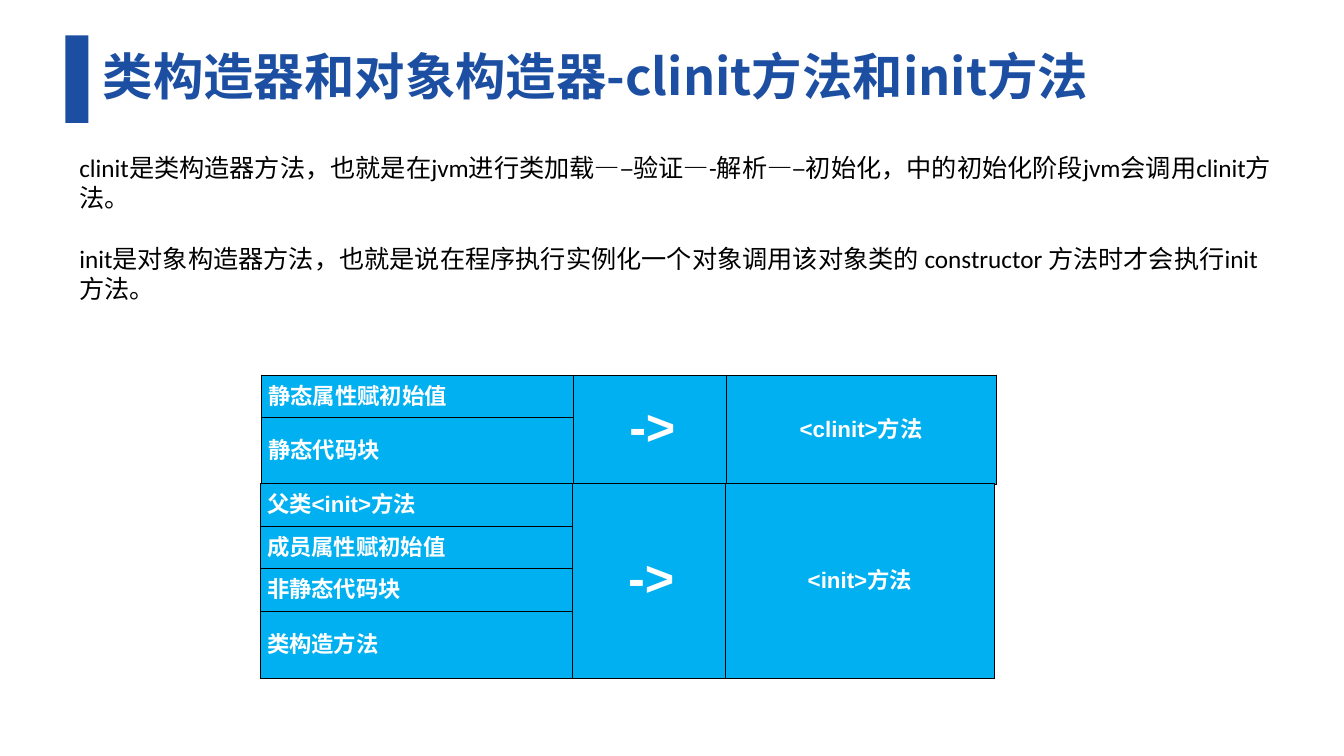
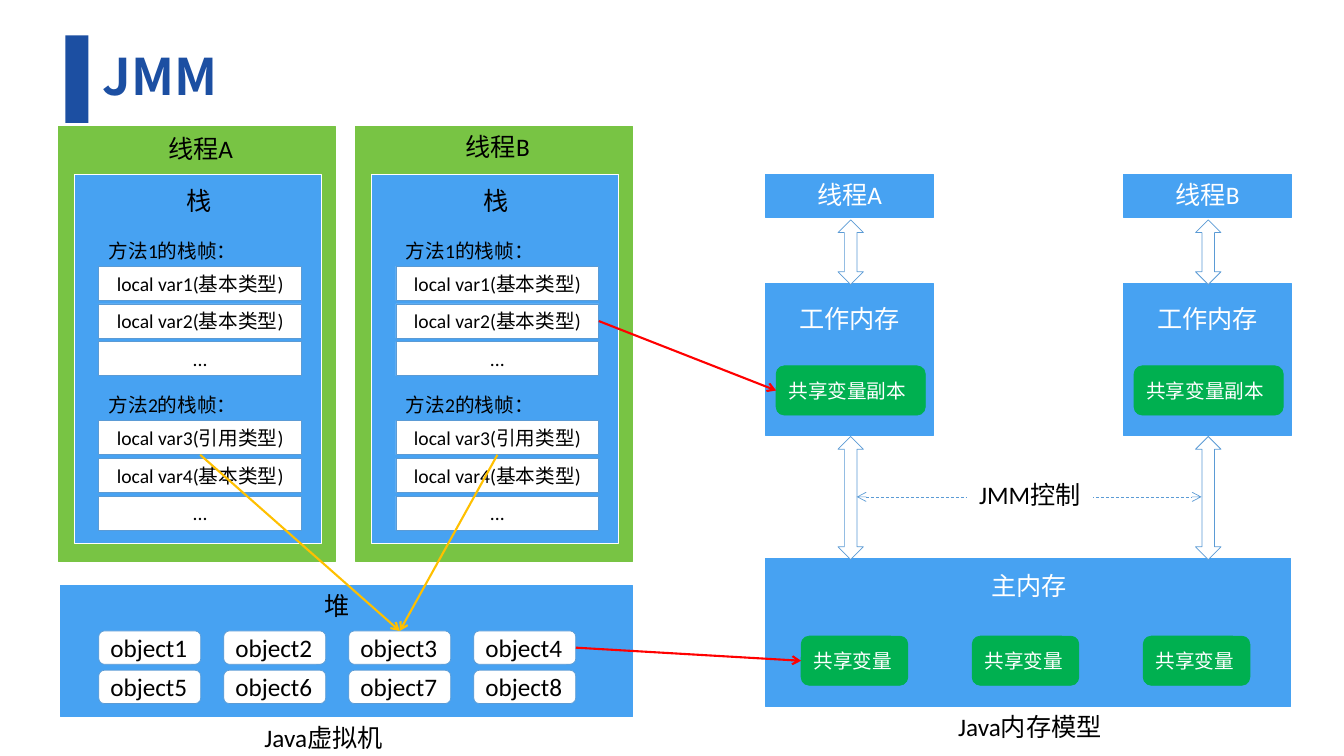
from dataclasses import dataclass
from itertools import product
from typing import Any, Optional

from lxml import etree
from pptx import Presentation
from pptx import util as u
from pptx.dml.color import RGBColor
from pptx.enum import dml, lang, shapes, text
from pptx.oxml import ns

HUES = {
    "navy": "1C4FA2", "black": "000000", "white": "FFFFFF", "cyan": "00B0F0",
    "lime": "78C444", "blue": "47A2F2", "edge": "5B9BD5", "green": "00B050",
    "gold": "FFC000", "red": "FF0000",
}
RECT = shapes.MSO_SHAPE.RECTANGLE
ROUND = shapes.MSO_SHAPE.ROUNDED_RECTANGLE
ARROW = shapes.MSO_SHAPE.UP_DOWN_ARROW
LEFT, MID = text.PP_ALIGN.LEFT, text.PP_ALIGN.CENTER
TOP, HALF = text.MSO_ANCHOR.TOP, text.MSO_ANCHOR.MIDDLE
SANS = "Noto Sans CJK SC"


@dataclass
class Box:
    x: float
    y: float
    w: float
    h: float
    words: str = ""
    fill: Optional[str] = None
    line: Optional[str] = None
    kind: Any = RECT
    ink: str = "black"
    size: float = 18
    align: Any = MID
    anchor: Any = TOP
    face: str = "Calibri"
    bold: bool = False
    gap: float = 0
    lead: float = 1.0


@dataclass
class Grid:
    x: float
    y: float
    steps: list[str]
    goal: str


def tint(name: str) -> RGBColor:
    return RGBColor.from_string(HUES[name])


def apply(item: Any, form: dict[str, Any]) -> None:
    for name, value in form.items():
        setattr(item, name, value)


def style(para: Any, size: float, ink: str, face: str, bold: bool, align: Any) -> None:
    para.alignment = align
    for run in para.runs:
        apply(run.font, {"size": u.Pt(size), "name": face, "bold": bold,
                         "language_id": lang.MSO_LANGUAGE_ID.SIMPLIFIED_CHINESE})
        run.font.color.rgb = tint(ink)
        if face == SANS:
            node = etree.SubElement(run.font._element, ns.qn("a:ea"))
            node.set("typeface", SANS)


def draw(slide: Any, box: Box) -> Any:
    place = [u.Cm(v) for v in (box.x, box.y, box.w, box.h)]
    if box.fill:
        shape = slide.shapes.add_shape(box.kind, *place)
        shape.shadow.inherit = False
        shape.fill.solid()
        shape.fill.fore_color.rgb = tint(box.fill)
        if box.line:
            shape.line.color.rgb = tint(box.line)
            shape.line.width = u.Pt(0.5)
        else:
            shape.line.fill.background()
    else:
        shape = slide.shapes.add_textbox(*place)
    if box.words:
        frame = shape.text_frame
        frame.text = box.words
        apply(frame, {"word_wrap": True, "vertical_anchor": box.anchor})
        for i, para in enumerate(frame.paragraphs):
            style(para, box.size, box.ink, box.face, box.bold, box.align)
            para.line_spacing = box.lead
            if i:
                para.space_before = u.Pt(box.gap)
    return shape


def link(slide: Any, ink: str, width: float, ends: tuple[float, ...] = (0, 0, 0, 0),
         start: Any = None, stop: Any = None, both: bool = False) -> None:
    line = slide.shapes.add_connector(shapes.MSO_CONNECTOR.STRAIGHT,
                                      *[u.Cm(v) for v in ends])
    if start:
        line.begin_connect(*start)
    if stop:
        line.end_connect(*stop)
    line.line.color.rgb = tint(ink)
    line.line.width = u.Pt(width)
    if both:
        line.line.dash_style = dml.MSO_LINE.DASH
    props = line._element.spPr
    stroke = props.find(ns.qn("a:ln"))
    for tag in (["a:headEnd"] if both else []) + ["a:tailEnd"]:
        etree.SubElement(stroke, ns.qn(tag)).set("type", "arrow")
    etree.SubElement(props, ns.qn("a:effectLst"))


def start_page(deck: Any, title: str) -> Any:
    slide = deck.slides.add_slide(deck.slide_layouts[6])
    draw(slide, Box(1.65, 0.89, 0.58, 2.21, fill="navy"))
    draw(slide, Box(2.34, 0.64, 29.21, 2.72, title, ink="navy", size=36, align=LEFT,
                    anchor=HALF, face=SANS, bold=True, lead=0.9))
    return slide


def rule(cell: Any) -> None:
    props = cell._tc.get_or_add_tcPr()
    for i, side in enumerate(("a:lnL", "a:lnR", "a:lnT", "a:lnB")):
        edge = etree.Element(ns.qn(side), w=str(u.Pt(0.5)))
        fill = etree.SubElement(edge, ns.qn("a:solidFill"))
        etree.SubElement(fill, ns.qn("a:srgbClr")).set("val", HUES["black"])
        props.insert(i, edge)


def draw_grid(slide: Any, grid: Grid) -> None:
    count = len(grid.steps)
    wides, talls = [7.88, 3.84, 6.8], [1.07] * (count - 1) + [1.69]
    table = slide.shapes.add_table(
        count, 3, u.Cm(grid.x), u.Cm(grid.y), u.Cm(sum(wides)), u.Cm(sum(talls))).table
    apply(table, {"first_row": False, "horz_banding": False})
    for col, wide in zip(table.columns, wides):
        col.width = u.Cm(wide)
    for row, tall in zip(table.rows, talls):
        row.height = u.Cm(tall)
    for c in (1, 2):
        table.cell(0, c).merge(table.cell(count - 1, c))
    for r, c in product(range(count), range(3)):
        cell = table.cell(r, c)
        cell.fill.solid()
        cell.fill.fore_color.rgb = tint("cyan")
        rule(cell)
        apply(cell, {"vertical_anchor": HALF, "margin_left": u.Cm((0.18, 0.15, 0.03)[c]),
                     "margin_right": u.Cm(0.03), "margin_top": u.Cm(0.03),
                     "margin_bottom": u.Cm(0.13)})
        if cell.is_spanned:
            continue
        cell.text = (grid.steps[r], "->", grid.goal)[c]
        style(cell.text_frame.paragraphs[0], 36 if c == 1 else 16, "white", "Arial",
              True, MID if c else LEFT)


def draw_stack(slide: Any, i: int) -> dict[str, Any]:
    x = 7.49 * i
    draw(slide, Box(x + 1.47, 3.18, 6.98, 10.97, fill="lime", line="lime"))
    draw(slide, Box(x + 1.88, 4.39, 6.22, 9.3, fill="blue", line="white"))
    draw(slide, Box(x + 3.18, 4.55, 3.66, 1.02, "栈"))
    draw(slide, Box(x + 3.38, 3.23 - 0.05 * i, 3.35, 1.02, f"线程{'AB'[i]}"))
    slots = {}
    frames = [["local var1(基本类型)", "local var2(基本类型)", "..."],
              ["local var3(引用类型)", "local var4(基本类型)", "..."]]
    for f, names in enumerate(frames):
        y = 5.89 + 3.89 * f
        for j, name in enumerate(names):
            slots[name] = draw(slide, Box(
                x + 2.49, y + 0.82 + 0.95 * j, 5.11, 0.86, name, "white", "edge",
                size=14, anchor=HALF))
        draw(slide, Box(x + 2.49, y, 4.85, 0.86, f"方法{f + 1}的栈帧：",
                        size=14, align=LEFT))
    return slots


def draw_heap(slide: Any) -> list[Any]:
    draw(slide, Box(1.52, 14.76, 14.43, 3.3, fill="blue", line="blue"))
    items = [draw(slide, Box(2.49 + 3.15 * c, 15.9 + 0.99 * r, 2.57, 0.84,
                             f"object{4 * r + c + 1}", "white", "edge", ROUND,
                             align=LEFT, anchor=HALF))
             for r, c in product(range(2), range(4))]
    draw(slide, Box(6.81, 14.76, 3.35, 1.02, "堆"))
    return items


def draw_share(slide: Any, x: float, y: float, w: float, words: str) -> Any:
    return draw(slide, Box(x, y, w, 1.24, words, "green", "green", ROUND, "white", 14,
                           LEFT, HALF))


def draw_work(slide: Any, i: int) -> Any:
    x = 19.3 + 9.02 * i
    draw(slide, Box(x, 4.39, 4.22, 1.09, f"线程{'AB'[i]}", "blue", "blue", ink="white"))
    draw(slide, Box(x, 7.14, 4.22, 3.84, fill="blue", line="blue"))
    share = draw_share(slide, x + 0.26, 9.22, 3.76, "共享变量副本")
    draw(slide, Box(x + 0.13, 7.52, 3.96, 1.02, "工作内存", ink="white"))
    return share


def draw_main(slide: Any) -> Any:
    draw(slide, Box(19.3, 14.07, 13.23, 3.73, fill="blue", line="blue"))
    shares = [draw_share(slide, 20.19 + 4.31 * j, 16.03, 2.69, "共享变量")
              for j in range(3)]
    draw(slide, Box(23.95, 14.25, 3.96, 1.02, "主内存", ink="white"))
    for i, (y, h) in product(range(2), ((5.54, 1.63), (11, 3.1))):
        draw(slide, Box(21.12 + 9.01 * i, y, 0.64, h, fill="white", line="edge",
                        kind=ARROW))
    link(slide, "edge", 0.5, (21.59, 12.52, 30.28, 12.52), both=True)
    draw(slide, Box(24.38, 11.96, 3.15, 1.09, "JMM控制", "white", "white"))
    return shares[0]


def init_page(deck: Any) -> None:
    slide = start_page(deck, "类构造器和对象构造器-clinit方法和init方法")
    words = ("clinit是类构造器方法，也就是在jvm进行类加载—–验证—-解析—–初始化，"
             "中的初始化阶段jvm会调用clinit方法。\n"
             "init是对象构造器方法，也就是说在程序执行实例化一个对象调用该对象类的"
             " constructor 方法时才会执行init方法。")
    draw(slide, Box(1.75, 3.71, 30.73, 4.09, words, align=LEFT, gap=21.8))
    for grid in (
        Grid(6.58, 9.45, ["静态属性赋初始值", "静态代码块"], "<clinit>方法"),
        Grid(6.55, 12.19, ["父类<init>方法", "成员属性赋初始值", "非静态代码块",
                           "类构造方法"], "<init>方法"),
    ):
        draw_grid(slide, grid)


def jmm_page(deck: Any) -> None:
    slide = start_page(deck, "JMM")
    stacks = [draw_stack(slide, i) for i in range(2)]
    heap = draw_heap(slide)
    for stack in stacks:
        link(slide, "gold", 1.5, start=(stack["local var3(引用类型)"], 2),
             stop=(heap[2], 0))
    works = [draw_work(slide, i) for i in range(2)]
    share = draw_main(slide)
    for start, stop in ((stacks[1]["local var2(基本类型)"], works[0]), (heap[3], share)):
        link(slide, "red", 1.5, start=(start, 3), stop=(stop, 1))
    for x, y, words in ((5.31, 18.08, "Java虚拟机"), (23.11, 17.81, "Java内存模型")):
        draw(slide, Box(x, y, 5.69, 1.02, words))


def main() -> None:
    deck = Presentation()
    apply(deck, {"slide_width": u.Cm(33.87), "slide_height": u.Cm(19.05)})
    init_page(deck)
    jmm_page(deck)
    deck.save("out.pptx")


if __name__ == "__main__":
    main()
